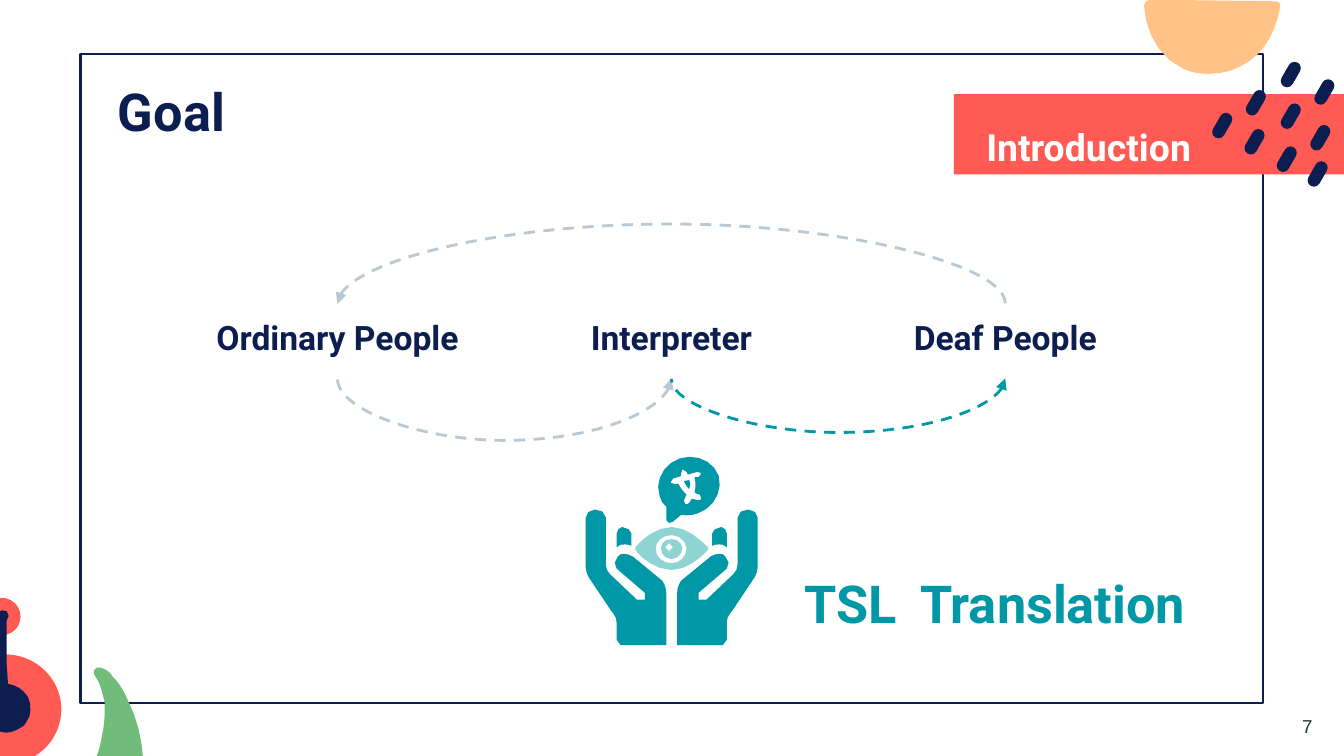
import math
from dataclasses import dataclass

from lxml import etree
from pptx import Presentation
from pptx import util as u
from pptx.dml.color import RGBColor
from pptx.enum import dml, shapes, text
from pptx.oxml import ns

Cm = u.Cm


@dataclass(frozen=True)
class Theme:
    navy: str = "0C1E4F"
    coral: str = "FF5A54"
    green: str = "71BC7B"
    peach: str = "FFC388"
    teal: str = "0097A7"
    mint: str = "8ED4D2"
    grey: str = "BAC8D3"
    white: str = "FFFFFF"
    slate: str = "263238"
    face: str = "Roboto"
    plain: str = "Arial"
    big: int = 28
    mid: int = 20
    label: int = 18
    small: int = 10
    line: float = 1.5


@dataclass(frozen=True)
class Box:
    x: float
    y: float
    w: float = 0
    h: float = 0

    def rect(self):
        return Cm(self.x), Cm(self.y), Cm(self.w), Cm(self.h)

    def sub(self, x, y, w=0, h=0):
        return Box(self.x + x, self.y + y, w, h)


T = Theme()
GRID = 0.0254
THIN = 0.01
INSET = 0.25

BOWL = ("48 55, 62 55 75 50 85 40, 93 32 99 19 101 7, 102 4 102 1 99 1, 25 0, 4 0,"
        "2 0 0 2 0 4, 1 23 11 43 29 51, 35 54 42 55 48 55")
SPOTS = [(71, 74), (24, 50), (73, 47), (51, 31), (25, 21), (76, 13), (51, 0), (48, 63), (0, 38)]
STEM = ("22 88, 23 84 23 79 21 74, 17 68 12 65 6 64, 5 49, 5 17, 7 15 7 12 5 10,"
        "3 9 0 9 -2 11, -4 13 -4 16 -2 18, -2 66, -9 69 -12 75 -12 84,"
        "-11 90 -7 96 -2 99, 1 100 5 101 8 100, 12 99 15 97 18 95, 19 93 21 91 22 88")
LEAF = ("97 183, 103 166 106 149 107 132, 107 113 104 93 95 76, 93 71 90 66 87 62,"
        "85 60 83 58 82 56, 80 55 78 52 75 52, 72 52, 70 54, 70 57,"
        "72 60 74 63 75 67, 76 70 77 74 78 78, 78 86 78 94 76 102,"
        "75 108 74 113 72 118, 68 129 62 138 54 146, 47 152 40 157 32 160,"
        "30 162, 32 167, 87 191, 92 193 93 192 94 190, 97 183")
HAND = ("7 39, 3 39 0 42 0 45, 0 82, 0 84 1 87 2 89, 18 113, 21 117 23 119 23 123, 23 136,"
        "23 138 24 140 26 140, 60 140, 60 102, 60 98 59 95 57 92, 35 74,"
        "33 73 31 72 29 72, 27 72 25 72 24 74, 21 76 21 81 23 83, 44 101,"
        "45 102 45 104 44 106, 41 106, 38 106, 18 87,"
        "16 85 15 83 15 80, 15 45, 15 41 11 39 7 39")
TIP = ("27 52, 25 52 23 55 23 57, 23 67, 25 65 27 65 29 65, 31 65 32 65 34 66,"
       "34 57, 34 55 31 52 27 52")
GLYPH = ("72 9, 74 9 75 9 75 11, 76 13, 83 11, 84 10 85 11 86 12, 86 13 85 14 84 15,"
         "81 15, 82 19 82 23 81 26, 82 27, 85 28, 86 29 86 30 86 31,"
         "85 32, 84 33 83 33 83 32, 79 31, 77 34, 76 35,"
         "74 35, 73 35 73 33 73 32, 75 28,"
         "73 26 70 23 69 20, 66 20, 65 21 64 20 63 19, 63 18 64 17 65 16, 71 14, 71 12,"
         "70 11 71 10 72 9")
CLOUD = ("70 1, 58 5 51 18 55 29, 56 32 57 35 60 37, 60 47, 62 49, 65 48, 71 43,"
         "75 44 80 43 83 42, 95 38 102 26 99 14, 95 3 82 -3 70 1")
CORE = "73 18, 74 20 75 22 77 24, 78 21 78 19 77 17"
EYE = ("64 52, 49 52 37 67 37 67, 37 69, 37 70 49 84 64 84, 78 84 90 70 91 69,"
       "91 67, 90 67 78 52 64 52;"
       "64 58, 70 58 75 63 75 68, 75 74 70 79 64 79, 57 79 52 74 52 68, 52 63 57 58 64 58")
IRIS = ("64 61, 59 61 56 64 56 68, 56 72 59 76 64 76, 68 76 72 72 72 68, 72 64 68 61 64 61;"
        "62 64, 64 64 65 65 65 67, 65 69 64 70 62 70, 60 70 59 69 59 67, 59 65 60 64 62 64")


def trace(loop):
    dots = []
    for part in loop.split(","):
        nums = [float(n) for n in part.split()]
        ends = list(zip(nums[::2], nums[1::2]))
        if len(ends) == 1:
            dots += ends
            continue
        a, (b, c, d) = dots[-1], ends
        steps = min(5, math.ceil(math.dist(a, d) / 5))
        for i in range(1, steps + 1):
            t = i / steps
            s = 1 - t
            dots.append(tuple(s**3 * a[k] + 3 * s * s * t * b[k] + 3 * s * t * t * c[k]
                              + t**3 * d[k] for k in (0, 1)))
    return dots


def paint(shape, color):
    shape.shadow.inherit = False
    shape.fill.solid()
    shape.fill.fore_color.rgb = RGBColor.from_string(color)
    shape.line.fill.background()


def draw(pool, box, path, color, flip=0):
    pen = None
    for loop in path.split(";"):
        dots = [(Cm(box.x + (flip - x if flip else x) * GRID), Cm(box.y + y * GRID))
                for x, y in trace(loop)]
        if pen is None:
            pen = pool.build_freeform(*dots[0], scale=1.0)
        else:
            pen.move_to(*dots[0])
        pen.add_line_segments(dots[1:], close=True)
    paint(pen.convert_to_shape(), color)


def solid(pool, kind, box, color):
    shape = pool.add_shape(kind, *box.rect())
    paint(shape, color)
    return shape


def write(shape, box, words, size, color, face=T.face, bold=True,
          align=text.PP_ALIGN.LEFT, lead=INSET, tab=None, space=None):
    shape.left, shape.top, shape.width, shape.height = box.rect()
    frame = shape.text_frame
    frame.word_wrap = True
    frame.auto_size = text.MSO_AUTO_SIZE.NONE
    frame.vertical_anchor = text.MSO_ANCHOR.TOP
    frame.margin_left = Cm(lead)
    frame.margin_top = frame.margin_right = frame.margin_bottom = Cm(INSET)
    para = frame.paragraphs[0]
    para.text = words
    para.alignment = align
    para.space_before = u.Pt(0)
    if space:
        para.line_spacing = space
    if tab:
        stops = etree.SubElement(para._p.get_or_add_pPr(), ns.qn("a:tabLst"))
        etree.SubElement(stops, ns.qn("a:tab"), pos=str(Cm(tab)), algn="l")
    font = para.font
    font.name, font.size, font.bold = face, u.Pt(size), bold
    font.color.rgb = RGBColor.from_string(color)
    return shape


def note(pool, box, *args, **keys):
    return write(pool.add_textbox(*box.rect()), box, *args, **keys)


def border(pool, box):
    edge = pool.add_shape(shapes.MSO_SHAPE.SNIP_2_DIAG_RECTANGLE, *box.rect())
    edge.adjustments[0] = edge.adjustments[1] = 0
    edge.shadow.inherit = False
    edge.fill.background()
    edge.line.color.rgb = RGBColor.from_string(T.navy)
    edge.line.width = u.Pt(T.line)


def plant(pool, box):
    oval = shapes.MSO_SHAPE.OVAL
    solid(pool, oval, box.sub(-0.97, 1.07, 2.13, 2.08), T.coral)
    solid(pool, oval, box.sub(-0.33, 0, 0.72, 0.71), T.coral)
    draw(pool, box, STEM, T.navy)
    draw(pool, box, LEAF, T.green)


def banner(pool, box):
    solid(pool, shapes.MSO_SHAPE.RECTANGLE, box, T.coral)
    draw(pool, box.sub(3.59, -1.78), BOWL, T.peach)
    marks = pool.add_group_shape().shapes
    for x, y in SPOTS:
        spot = box.sub(4.95 + x * GRID, -0.63 + y * GRID, 0.24, 0.52)
        mark = solid(marks, shapes.MSO_SHAPE.ROUNDED_RECTANGLE, spot, T.navy)
        mark.adjustments[0] = 0.5
        mark.rotation = 30
    note(pool, box.sub(0, 0.1, 6.05, 1.65), "Introduction", T.mid, T.white,
         lead=0.61, space=1.25)


def arc(pool, start, end, site, drop, color, tip):
    bend = pool.add_connector(shapes.MSO_CONNECTOR.CURVE, 0, 0, 0, 0)
    bend.begin_connect(start, site)
    bend.end_connect(end, site)
    left, right = start.left + start.width // 2, end.left + end.width // 2
    level = start.top + (start.height if site else 0)
    span = right - left
    bend.left, bend.top = (left + right - Cm(THIN)) // 2, level - span // 2
    bend.width, bend.height = Cm(THIN), span
    props = bend._element.spPr
    form = props.find(ns.qn("a:xfrm"))
    form.set("rot", "16200000")
    form.set("flipH", "1")
    guides = props.find(ns.qn("a:prstGeom")).find(ns.qn("a:avLst"))
    etree.SubElement(guides, ns.qn("a:gd"), name="adj1",
                     fmla=f"val {round(drop / THIN * 100000)}")
    bend.line.color.rgb = RGBColor.from_string(color)
    bend.line.width = u.Pt(T.line)
    bend.line.dash_style = dml.MSO_LINE.DASH
    etree.SubElement(bend.line._get_or_add_ln(), ns.qn(f"a:{tip}"), type="triangle")
    etree.SubElement(props, ns.qn("a:effectLst"))


def flow(pool, box):
    wide = 5.64
    step = (box.w - wide) / 2
    a, b, c = [note(pool, box.sub(i * step, 0, wide, box.h), words, T.label, T.navy,
                    align=text.PP_ALIGN.CENTER)
               for i, words in enumerate(("Ordinary People", "Interpreter", "Deaf People"))]
    arc(pool, a, c, 0, -1.5, T.grey, "tailEnd")
    arc(pool, a, b, 2, 1.17, T.grey, "headEnd")
    arc(pool, b, c, 2, 1.02, T.teal, "headEnd")


def symbol(pool, box):
    for flip in (0, 128):
        draw(pool, box, HAND, T.teal, flip)
        draw(pool, box, TIP, T.teal, flip)
    draw(pool, box, GLYPH + ";" + CLOUD, T.teal)
    draw(pool, box, CORE, T.teal)
    draw(pool, box, IRIS, T.mint)
    draw(pool, box, EYE, T.mint)


def main():
    deck = Presentation()
    deck.slide_width, deck.slide_height = Cm(25.4), Cm(14.29)
    slide = deck.slides.add_slide(deck.slide_layouts[0])
    pool = slide.shapes
    border(pool, Box(1.52, 1.02, 22.35, 12.27))
    plant(pool.add_group_shape().shapes, Box(0, 11.3))
    write(pool.title, Box(1.98, 1.24, 21.44, 1.6), "Goal", T.big, T.navy)
    banner(pool, Box(18.03, 1.78, 7.62, 1.52))
    write(slide.placeholders[1], Box(24.36, 13.26, 0.56, 0.76), "7", T.small, T.slate,
          face=T.plain, bold=False)
    flow(pool, Box(3.56, 5.74, 18.26, 1.42))
    symbol(pool.add_group_shape().shapes, Box(11.07, 8.64))
    note(pool, Box(14.71, 10.54, 8.59, 1.65), "TSL\tTranslation", T.big, T.teal,
         lead=0.5, tab=2.18)
    deck.save("out.pptx")


if __name__ == "__main__":
    main()
